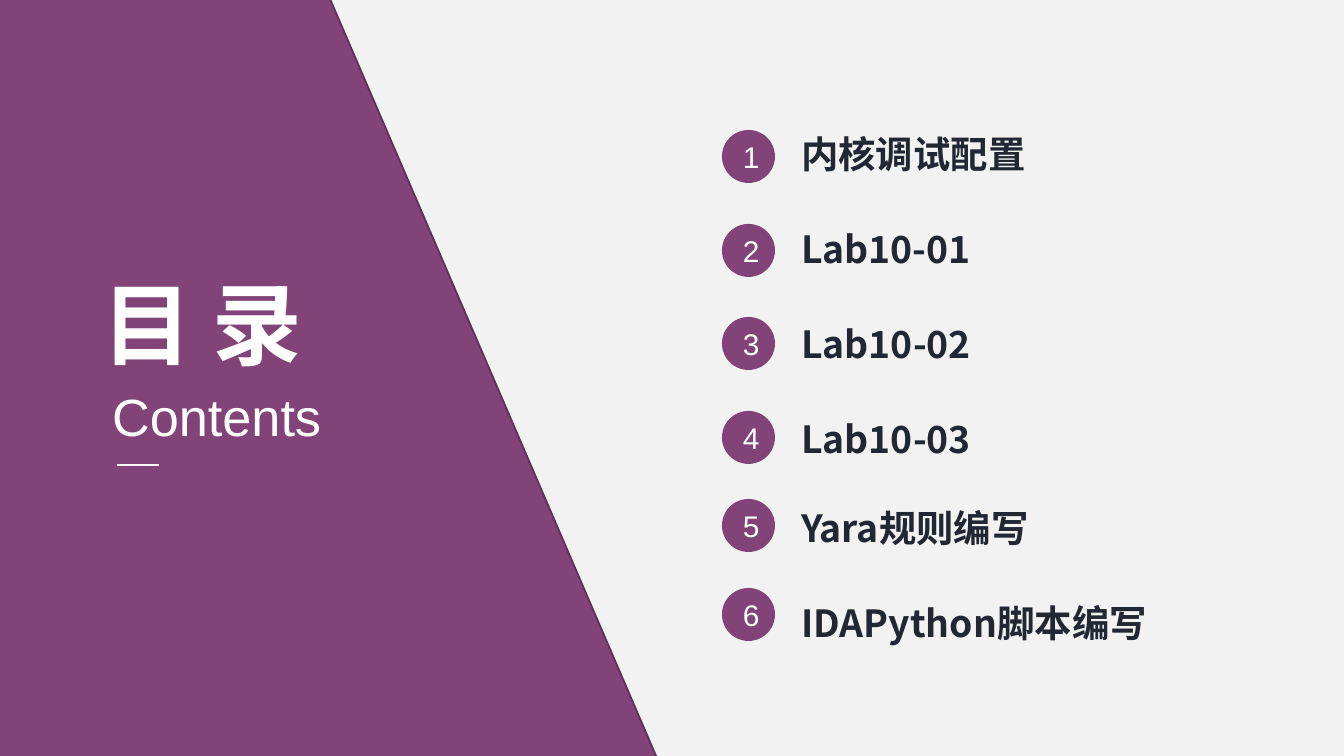
"""Build the contents slide with a slanted panel and numbered entries."""
from dataclasses import dataclass

import lxml.etree
import pptx
import pptx.dml.color
import pptx.enum.shapes
import pptx.enum.text
import pptx.oxml.ns
import pptx.util

PX = 914400 / 134.4
PURPLE = pptx.dml.color.RGBColor(0x82, 0x43, 0x79)
DARK_PURPLE = pptx.dml.color.RGBColor(0x60, 0x32, 0x5A)
WHITE = pptx.dml.color.RGBColor(0xFF, 0xFF, 0xFF)
INK = pptx.dml.color.RGBColor(0x21, 0x28, 0x34)
PALE = pptx.dml.color.RGBColor(0xF2, 0xF2, 0xF2)
LATIN = "Arial"
CHINESE = "Noto Sans CJK SC"
BADGE_LEFT, BADGE_SIZE = 722, 53
LABEL_LEFT, LABEL_HEIGHT = 788, 59


@dataclass(frozen=True)
class TextStyle:
    font: str
    size: int
    color: pptx.dml.color.RGBColor
    bold: bool = False


@dataclass(frozen=True)
class Entry:
    label: str
    badge_top: int
    label_top: int
    label_width: int = 410


TITLE = TextStyle(CHINESE, 48, WHITE, True)
SUBTITLE = TextStyle(LATIN, 28, WHITE)
NUMBER = TextStyle(LATIN, 16, WHITE)
LABEL = TextStyle(CHINESE, 20, INK, True)

ENTRIES = (
    Entry("内核调试配置", 130, 125, 289),
    Entry("Lab10-01", 224, 220, 360),
    Entry("Lab10-02", 317, 315),
    Entry("Lab10-03", 411, 410),
    Entry("Yara规则编写", 499, 499),
    Entry("IDAPython脚本编写", 588, 594),
)


def px(length: int) -> pptx.util.Emu:
    """Turn pixels into EMU."""
    return pptx.util.Emu(round(length * PX))


def add_run(paragraph, text: str, style: TextStyle) -> None:
    """Add one styled run, with the same font for East Asian letters."""
    run = paragraph.add_run()
    run.text = text
    run.font.name = style.font
    run.font.size = pptx.util.Pt(style.size)
    run.font.bold = style.bold
    run.font.color.rgb = style.color
    east_asian = lxml.etree.SubElement(
        run._r.get_or_add_rPr(), pptx.oxml.ns.qn("a:ea"))
    east_asian.set("typeface", style.font)


def fill_text(shape, text: str, style: TextStyle) -> None:
    """Write left-aligned text at the top of a shape."""
    frame = shape.text_frame
    frame.word_wrap = True
    frame.auto_size = pptx.enum.text.MSO_AUTO_SIZE.SHAPE_TO_FIT_TEXT
    frame.vertical_anchor = pptx.enum.text.MSO_ANCHOR.TOP
    paragraph = frame.paragraphs[0]
    paragraph.alignment = pptx.enum.text.PP_ALIGN.LEFT
    add_run(paragraph, text, style)


def add_label(slide, left: int, top: int, width: int, height: int,
              text: str, style: TextStyle) -> None:
    """Add a text box."""
    box = slide.shapes.add_textbox(px(left), px(top), px(width), px(height))
    fill_text(box, text, style)


def add_panel(slide):
    """Add the slanted purple panel."""
    panel = slide.shapes.add_shape(
        pptx.enum.shapes.MSO_SHAPE.RECTANGLE,
        px(-297), px(133), px(968), px(610))
    panel.rotation = 66.7
    panel.shadow.inherit = False
    panel.fill.solid()
    panel.fill.fore_color.rgb = PURPLE
    panel.line.color.rgb = DARK_PURPLE
    panel.line.width = pptx.util.Pt(1)
    return panel


def add_rule(slide) -> None:
    """Add the short white line below the heading."""
    rule = slide.shapes.add_connector(
        pptx.enum.shapes.MSO_CONNECTOR.STRAIGHT,
        px(117), px(465), px(159), px(465))
    rule.line.color.rgb = WHITE
    rule.line.width = pptx.util.Pt(1.5)
    lxml.etree.SubElement(
        rule.element.spPr, pptx.oxml.ns.qn("a:effectLst"))


def add_badge(slide, top: int, number: int) -> None:
    """Add a numbered circle."""
    badge = slide.shapes.add_shape(
        pptx.enum.shapes.MSO_SHAPE.OVAL,
        px(BADGE_LEFT), px(top), px(BADGE_SIZE), px(BADGE_SIZE))
    badge.shadow.inherit = False
    badge.fill.solid()
    badge.fill.fore_color.rgb = PURPLE
    badge.line.fill.background()
    frame = badge.text_frame
    frame.word_wrap = True
    frame.vertical_anchor = pptx.enum.text.MSO_ANCHOR.MIDDLE
    paragraph = frame.paragraphs[0]
    paragraph.alignment = pptx.enum.text.PP_ALIGN.CENTER
    add_run(paragraph, str(number), NUMBER)


def main() -> None:
    """Build and save the presentation."""
    presentation = pptx.Presentation()
    presentation.slide_width, presentation.slide_height = px(1344), px(756)
    slide = presentation.slides.add_slide(presentation.slide_layouts[5])
    slide.background.fill.solid()
    slide.background.fill.fore_color.rgb = PALE

    title = slide.shapes.title
    title.left, title.top = px(89), px(262)
    title.width, title.height = px(266), px(122)
    fill_text(title, "目 录", TITLE)
    panel = add_panel(slide)
    title.element.addprevious(panel.element)
    add_label(slide, 99, 378, 285, 77, "Contents", SUBTITLE)
    add_rule(slide)

    for number, entry in enumerate(ENTRIES, start=1):
        add_label(slide, LABEL_LEFT, entry.label_top, entry.label_width,
                  LABEL_HEIGHT, entry.label, LABEL)
        add_badge(slide, entry.badge_top, number)

    presentation.save("out.pptx")


if __name__ == "__main__":
    main()
